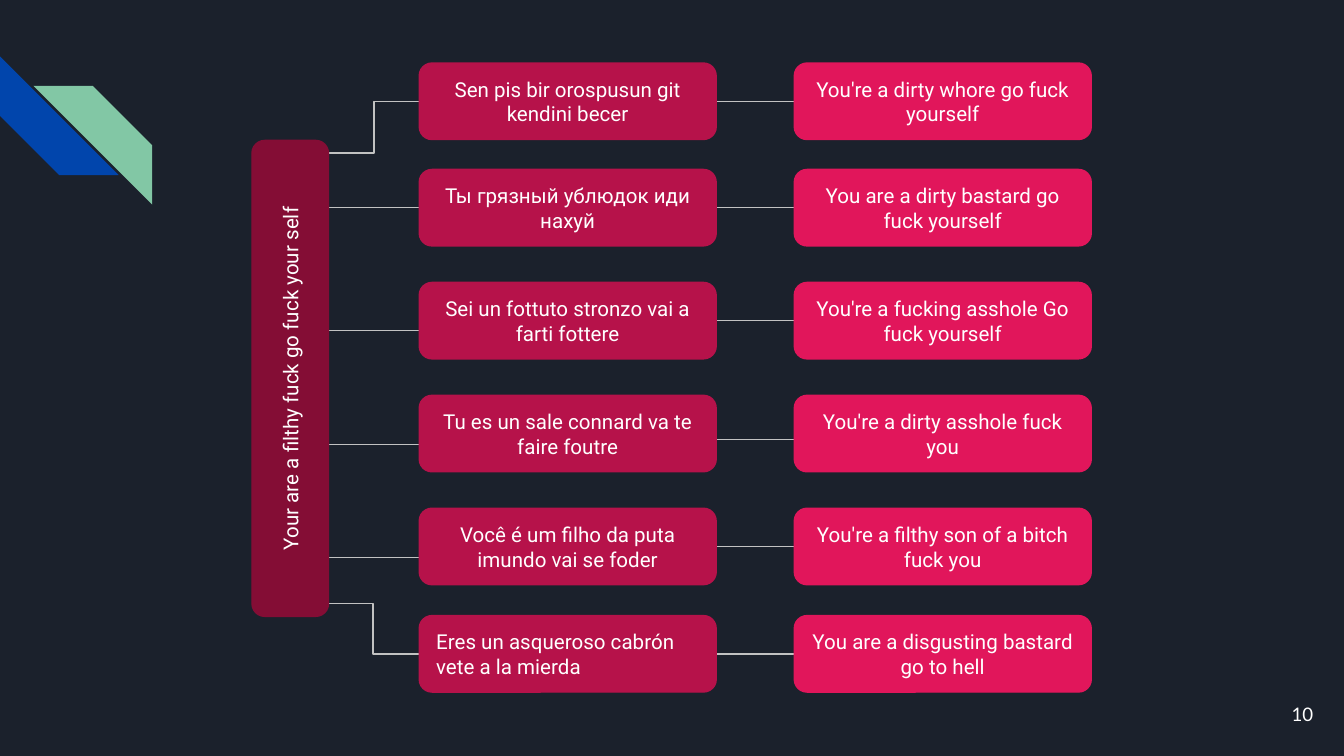
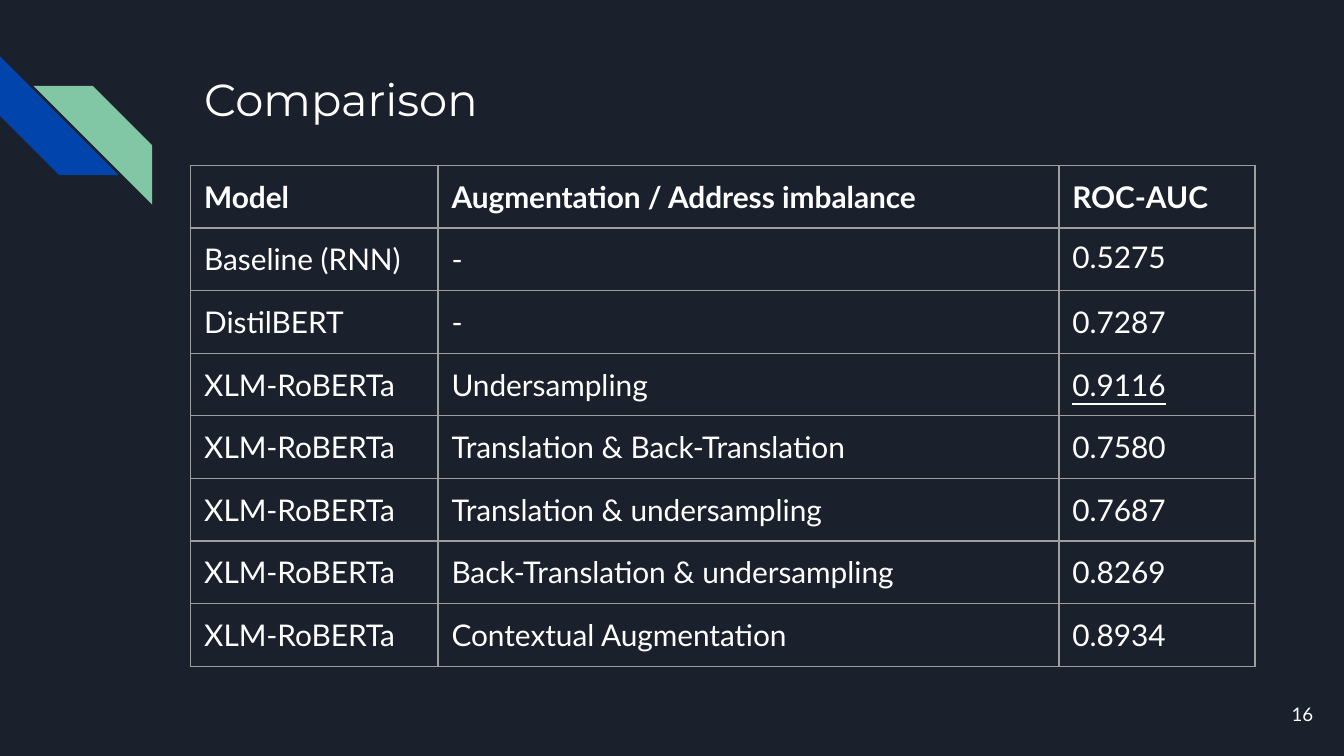
from itertools import accumulate

from lxml import etree
from pptx import Presentation
from pptx import util as u
from pptx.dml.color import RGBColor
from pptx.enum import shapes, text
from pptx.oxml import ns

NIGHT = RGBColor(0x1B, 0x21, 0x2C)
WHITE = RGBColor(0xFF, 0xFF, 0xFF)
BLUE = RGBColor(0x01, 0x45, 0xAC)
GREEN = RGBColor(0x82, 0xC7, 0xA5)
WINE = RGBColor(0x84, 0x0D, 0x35)
ROSE = RGBColor(0xB6, 0x12, 0x4A)
PINK = RGBColor(0xE1, 0x16, 0x5B)
SILVER = RGBColor(0xC2, 0xC2, 0xC2)
GREY = RGBColor(0x9E, 0x9E, 0x9E)

LEFT, MID, RIGHT = text.PP_ALIGN.LEFT, text.PP_ALIGN.CENTER, text.PP_ALIGN.RIGHT
PAD = u.Pt(7.2)
THIN = u.Pt(0.75)

ROOT = "Your are a filthy fuck go fuck your self"
PHRASES = [
    ("Sen pis bir orospusun git kendini becer", "You're a dirty whore go fuck yourself"),
    ("Ты грязный ублюдок иди нахуй", "You are a dirty bastard go fuck yourself"),
    ("Sei un fottuto stronzo vai a farti fottere", "You're a fucking asshole Go fuck yourself"),
    ("Tu es un sale connard va te faire foutre", "You're a dirty asshole fuck you"),
    ("Você é um filho da puta imundo vai se foder", "You're a filthy son of a bitch fuck you"),
    ("Eres un asqueroso cabrón vete a la mierda", "You are a disgusting bastard go to hell"),
]
STEPS = (0, 57, 60.5, 60.5, 60.5, 57.5)
STEMS = ((48.2, 20.5), (77.5, 77.5), (143.3, 143.3), (204.5, 204.5), (265, 265), (289.5, 316.5))
DROPS = (0, 0, 0, 3.1, 0, 0)

SCORES = [
    ("Model", "Augmentation / Address imbalance", "ROC-AUC"),
    ("Baseline (RNN)", "-", "0.5275"),
    ("DistilBERT", "-", "0.7287"),
    ("XLM-RoBERTa", "Undersampling", "0.9116"),
    ("XLM-RoBERTa", "Translation & Back-Translation", "0.7580"),
    ("XLM-RoBERTa", "Translation & undersampling", "0.7687"),
    ("XLM-RoBERTa", "Back-Translation & undersampling", "0.8269"),
    ("XLM-RoBERTa", "Contextual Augmentation", "0.8934"),
]
BEST = "0.9116"


def points(*nums):
    """Turn plain numbers into point lengths."""
    return [u.Pt(num) for num in nums]


def write(frame, words, size, face, align=LEFT, bold=False):
    """Fill a text frame with one formatted paragraph."""
    frame.text = words
    para = frame.paragraphs[0]
    para.alignment = align
    font = para.runs[0].font
    font.size, font.name, font.bold = u.Pt(size), face, bold
    font.color.rgb = WHITE
    return para


def inset(frame, anchor):
    """Give a text frame wrapping, even margins and an anchor."""
    frame.word_wrap = True
    frame.auto_size = text.MSO_AUTO_SIZE.NONE
    frame.margin_left = frame.margin_right = PAD
    frame.margin_top = frame.margin_bottom = PAD
    frame.vertical_anchor = anchor


def solid(slide, kind, box, fill):
    """Add a flat preset shape in one colour."""
    shape = slide.shapes.add_shape(kind, *points(*box))
    shape.shadow.inherit = False
    shape.fill.solid()
    shape.fill.fore_color.rgb = fill
    shape.line.fill.background()
    return shape


def stripes(slide, box):
    """Draw the two slanted bands at the slide edge."""
    x, y, side = box
    kind = shapes.MSO_SHAPE.DIAGONAL_STRIPE
    solid(slide, kind, (x, y, side, side), BLUE).rotation = 270
    band = solid(slide, kind, (x + 18, y + 15.9, side, side), GREEN)
    band._element.spPr.find(ns.qn("a:xfrm")).set("flipH", "1")


def number(slide, box, words):
    """Write the slide number in the bottom corner."""
    frame = slide.shapes.add_textbox(*points(*box)).text_frame
    inset(frame, text.MSO_ANCHOR.MIDDLE)
    write(frame, words, 10, "Lato", RIGHT)


def base(deck, layout, page):
    """Add a slide with the shared bands and number."""
    slide = deck.slides.add_slide(deck.slide_layouts[layout])
    stripes(slide, (0, 30.2, 63.6))
    number(slide, (667.4, 367.2, 43.2, 31), page)
    return slide


def card(slide, box, fill, words, align=MID):
    """Add a rounded card with its phrase."""
    shape = solid(slide, shapes.MSO_SHAPE.ROUNDED_RECTANGLE, box, fill)
    shape.line.color.rgb = fill
    shape.line.width = THIN
    inset(shape.text_frame, text.MSO_ANCHOR.MIDDLE)
    write(shape.text_frame, words, 11, "Roboto", align)
    return shape


def link(slide, start, end, bend=None):
    """Join two places with a thin elbow line."""
    line = slide.shapes.add_connector(shapes.MSO_CONNECTOR.ELBOW, *points(*start, *end))
    line.line.color.rgb = SILVER
    line.line.width = THIN
    form = line._element.spPr
    etree.SubElement(form, ns.qn("a:effectLst"))
    if bend:
        guides = form.find(ns.qn("a:prstGeom")).find(ns.qn("a:avLst"))
        guide = etree.SubElement(guides, ns.qn("a:gd"))
        guide.set("name", "adj1")
        guide.set("fmla", f"val {bend}")


def tree(slide, box):
    """Draw the root phrase, its versions and their meanings."""
    x, y, wide, high = box
    span, thick, trunk = 159.1, 41, 255
    near, far = x + 89.6, x + wide - span
    last = len(PHRASES) - 1
    for row, (start, end) in enumerate(STEMS):
        first = x + (17.6 if row == last else thick)
        link(slide, (first, y + start), (near, y + end), 65600 if row == last else None)
    mid = y + 41.4 + trunk / 2
    root = (x + (thick - trunk) / 2, mid - thick / 2, trunk, thick)
    card(slide, root, WINE, ROOT).rotation = 270
    for row, (top, drop) in enumerate(zip(accumulate(STEPS), DROPS)):
        level = y + top + thick / 2 + drop
        link(slide, (near + span, level), (far, level))
        phrase, sense = PHRASES[row]
        card(slide, (near, y + top, span, thick), ROSE, phrase, LEFT if row == last else MID)
        card(slide, (far, y + top, span, thick), PINK, sense)


def head(slide, box, words):
    """Place and format the slide title."""
    title = slide.shapes.title
    title.left, title.top, title.width, title.height = points(*box)
    inset(title.text_frame, text.MSO_ANCHOR.TOP)
    write(title.text_frame, words, 24, "Montserrat")


def edge(cell):
    """Draw thin grey borders around a table cell."""
    props = cell._tc.get_or_add_tcPr()
    for spot, side in enumerate("LRTB"):
        line = etree.Element(ns.qn(f"a:ln{side}"), w=str(int(THIN)))
        fill = etree.SubElement(line, ns.qn("a:solidFill"))
        etree.SubElement(fill, ns.qn("a:srgbClr"), val=str(GREY))
        props.insert(spot, line)


def scores(slide, box):
    """Build the table of model scores."""
    wide = (132.5, 332.6, 105.1)
    grid = slide.shapes.add_table(len(SCORES), len(wide), *points(*box)).table
    grid.first_row = grid.horz_banding = False
    for col, width in zip(grid.columns, wide):
        col.width = u.Pt(width)
    for row, words in enumerate(SCORES):
        grid.rows[row].height = u.Pt(30.2 if row else 33.6)
        for col, word in enumerate(words):
            cell = grid.cell(row, col)
            cell.fill.background()
            edge(cell)
            cell.margin_left = cell.margin_right = PAD
            cell.margin_top = cell.margin_bottom = PAD
            para = write(cell.text_frame, word, 16, "Lato", bold=row == 0)
            if word == BEST:
                para.runs[0].font.underline = True
    para = grid.cell(1, 2).text_frame.paragraphs[0]
    para.line_spacing = 0.95
    para.space_after = u.Pt(12)


def main():
    """Build and save the two slides."""
    deck = Presentation()
    deck.slide_width, deck.slide_height = points(720, 405)
    back = deck.slide_master.background.fill
    back.solid()
    back.fore_color.rgb = NIGHT
    tree(base(deck, 6, "10"), (135, 33.8, 449.6, 337))
    slide = base(deck, 5, "16")
    head(slide, (102.2, 31, 554.4, 72), "Comparison")
    scores(slide, (102.2, 88.6, 570.2, 245))
    deck.save("out.pptx")


if __name__ == "__main__":
    main()
